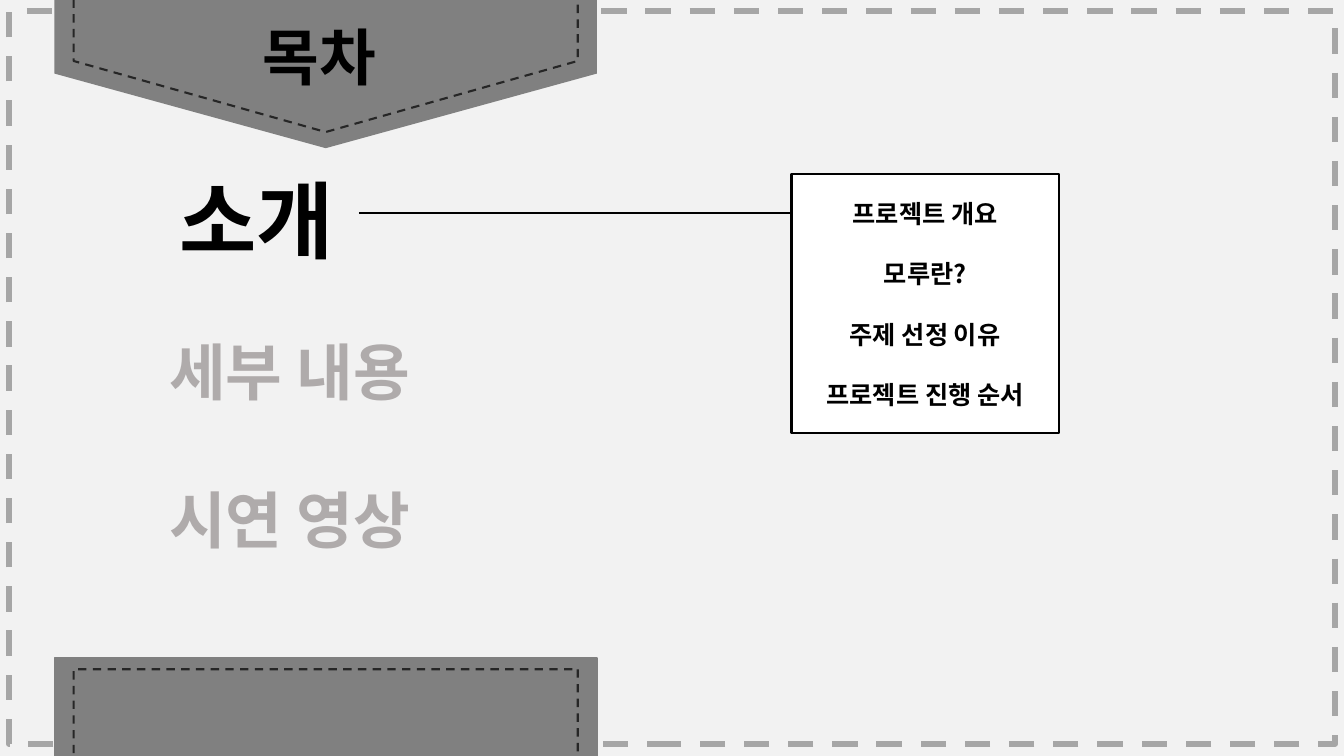
import pptx
import pptx.dml.color
import pptx.enum.dml
import pptx.enum.shapes
import pptx.enum.text
import pptx.oxml
import pptx.util

Inches = pptx.util.Inches
Pt = pptx.util.Pt
SHAPE = pptx.enum.shapes.MSO_SHAPE
ALIGN = pptx.enum.text.PP_ALIGN
ANCHOR = pptx.enum.text.MSO_ANCHOR

FONT = "Noto Sans CJK KR"
LINE_HEIGHT = 1.2
BLACK, GRAY, DARK, PALE = "000000", "808080", "262626", "AFABAB"

# text, box (left, top, width, height), top inset, size, colour
HEADINGS = [
    (["목차"], (2.51, 0.08, 1.44, 0.84), 0.11, 44, BLACK),
    (["소개"], (1.68, 1.56, 1.88, 1.11), 0.11, 60, BLACK),
    (["세부 내용", "시연 영상"], (1.58, 1.74, 2.89, 3.8), 1.57, 44, PALE),
]
TOPICS = ["프로젝트 개요", "모루란?", "주제 선정 이유", "프로젝트 진행 순서"]
TOPIC_BOX = (7.85, 1.73, 2.65, 2.57)
LEADER_START, LEADER_Y = 3.56, 2.11

# Pennants point down: left, top, width, height as seen, fill, dashed line
TOP_PENNANTS = [
    ((0.54, -0.01, 5.38, 1.48), GRAY, None),
    ((0.73, -0.1, 5, 1.41), None, DARK),
]
BOTTOM_BAND = (0.54, 6.53, 5.38, 0.97)
BOTTOM_STITCH = (0.73, 6.64, 5, 2.43)


def color(hex_text):
    return pptx.dml.color.RGBColor.from_string(hex_text)


def add_box(kind, box, fill=None, line=None, width=1.5, dashed=False):
    shape = slide.shapes.add_shape(kind, *map(Inches, box))
    shape.shadow.inherit = False
    if fill:
        shape.fill.solid()
        shape.fill.fore_color.rgb = color(fill)
    else:
        shape.fill.background()
    if line:
        shape.line.color.rgb = color(line)
        shape.line.width = Pt(width)
        if dashed:
            shape.line.dash_style = pptx.enum.dml.MSO_LINE.DASH
    else:
        shape.line.fill.background()
    return shape


def add_pennant(box, fill=None, line=None):
    """Add a pentagon turned to point down, filling the box as seen."""
    left, top, width, height = box
    shift = (width - height) / 2
    unturned = (left + shift, top - shift, height, width)
    add_box(SHAPE.PENTAGON, unturned, fill, line, dashed=True).rotation = 90


def write(shape, lines, size, ink=BLACK, align=ALIGN.LEFT, anchor=ANCHOR.TOP,
          wrap=True, top_inset=0.05):
    """Write bold lines, one line height apart from each other."""
    frame = shape.text_frame
    frame.word_wrap = wrap
    frame.vertical_anchor = anchor
    frame.margin_top = Inches(top_inset)
    for index, line in enumerate(lines):
        paragraph = frame.add_paragraph() if index else frame.paragraphs[0]
        paragraph.alignment = align
        paragraph.line_spacing = Pt(size * LINE_HEIGHT)
        if index:
            paragraph.space_before = Pt(size * LINE_HEIGHT)
        run = paragraph.add_run()
        run.text = line
        run.font.size = Pt(size)
        run.font.bold = True
        run.font.color.rgb = color(ink)
        run.font.name = FONT
        east_asian = pptx.oxml.parse_xml(
            '<a:ea xmlns:a="http://schemas.openxmlformats.org/drawingml/2006/main"'
            f' typeface="{FONT}"/>')
        run.font._element.find(pptx.oxml.ns.qn("a:latin")).addnext(east_asian)


presentation = pptx.Presentation()
presentation.slide_width = Inches(13.33)
presentation.slide_height = Inches(7.5)
slide = presentation.slides.add_slide(presentation.slide_layouts[6])
slide.background.fill.solid()
slide.background.fill.fore_color.rgb = color("F2F2F2")

add_box(SHAPE.RECTANGLE, (0.09, 0.11, 13.15, 7.27), line="A6A6A6", width=4.5, dashed=True)
for box, fill, line in TOP_PENNANTS:
    add_pennant(box, fill, line)
add_box(SHAPE.RECTANGLE, BOTTOM_BAND, GRAY, GRAY, width=1)
add_pennant(BOTTOM_STITCH, line=DARK)

topic_box = add_box(SHAPE.RECTANGLE, TOPIC_BOX, "FFFFFF", BLACK)
write(topic_box, TOPICS, 18, align=ALIGN.CENTER, anchor=ANCHOR.MIDDLE)

leader = slide.shapes.add_connector(
    pptx.enum.shapes.MSO_CONNECTOR.STRAIGHT,
    *map(Inches, (LEADER_START, LEADER_Y, TOPIC_BOX[0], LEADER_Y)))
leader.line.color.rgb = color(BLACK)
leader.line.width = Pt(1.5)
leader._element.spPr.append(pptx.oxml.parse_xml(
    '<a:effectLst xmlns:a="http://schemas.openxmlformats.org/drawingml/2006/main"/>'))

for lines, box, top_inset, size, ink in HEADINGS:
    text_box = slide.shapes.add_textbox(*map(Inches, box))
    write(text_box, lines, size, ink, wrap=False, top_inset=top_inset)

presentation.save("out.pptx")
